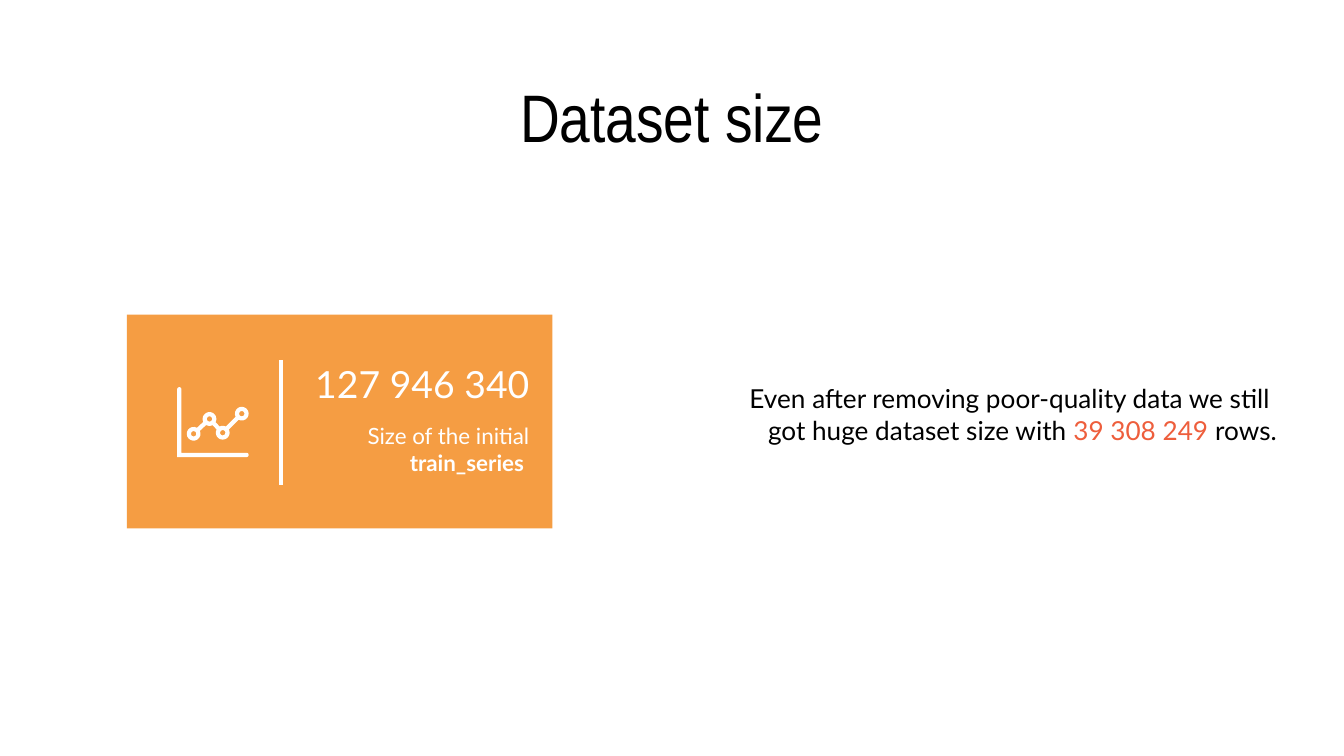
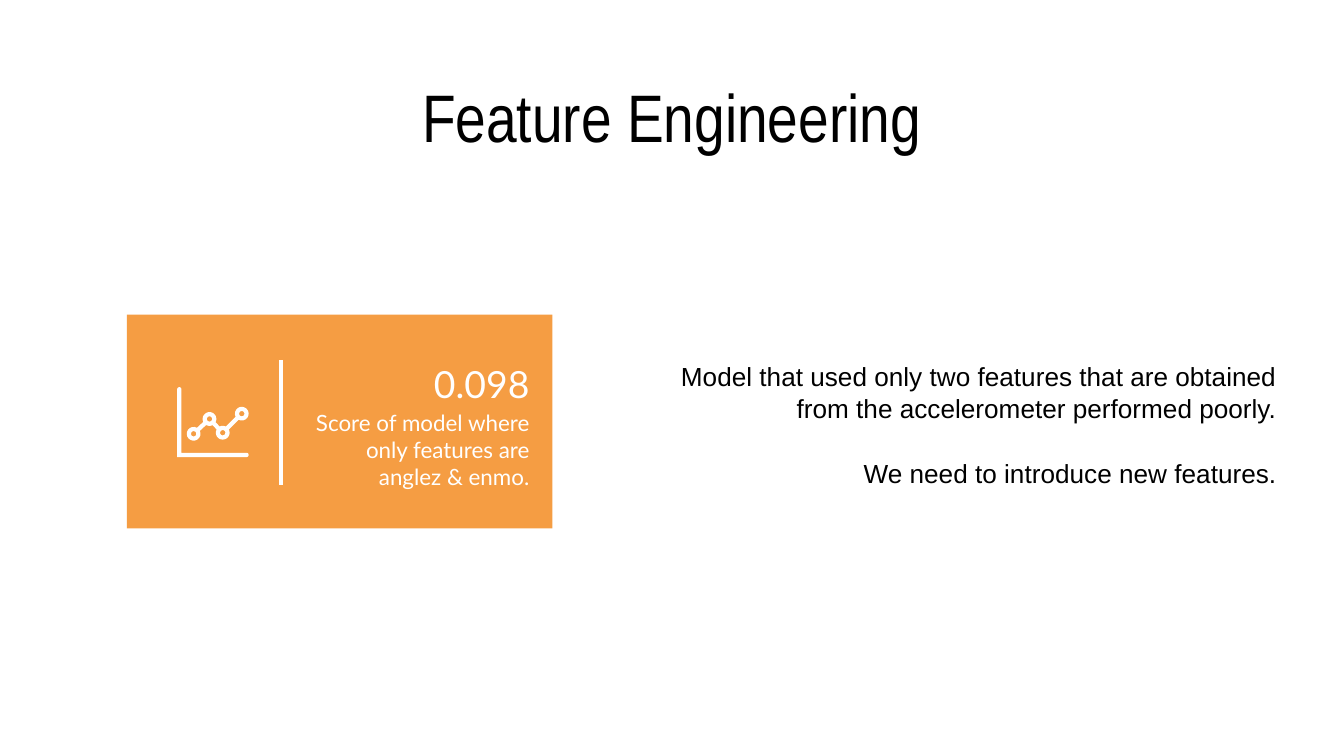
from dataclasses import dataclass
from math import asin, atan2, cos, pi, sin, tau

from lxml import etree
from pptx import Presentation
from pptx import util as u
from pptx.dml.color import RGBColor
from pptx.enum import shapes, text
from pptx.oxml import ns


@dataclass(frozen=True)
class Theme:
    ink: str = "000000"
    white: str = "FFFFFF"
    card: str = "F59D43"
    highlight: str = "EE5E3C"
    title_font: str = "Arial Narrow"
    card_font: str = "Lato"
    plain_font: str = "Arial"
    title_size: int = 36
    figure_size: int = 20
    body_size: int = 14
    caption_size: int = 12
    divider_width: float = 2.25


TITLE_AREA = (0.86, 1.02, 23.67, 2.34)
CARD_AREA = (2.4, 5.95, 8.04, 4.04)
CAPTION_AREA = (5.54, 7.67, 4.72, 1.65)
FIGURE_AREA = (5.54, 6.78, 4.72, 0.94)
DIVIDER = (5.31, 6.81, 5.31, 9.17)
WIDE_INSET = 0.25

# Chart icon, in centimetres
AXIS_CORNER = (3.39, 8.6)
AXIS_TOP, AXIS_RIGHT, AXIS_HALF_WIDTH = 7.36, 4.66, 0.04
TREND_POINTS = [(3.66, 8.2), (3.96, 7.92), (4.21, 8.18), (4.57, 7.82)]
RING_RADIUS, HOLE_RADIUS, LINK_HALF_WIDTH = 0.13, 0.05, 0.04


def set_format(target, values):
    for name, value in values.items():
        setattr(target, name, value)


def cm(values):
    return [u.Cm(value) for value in values]


def arc(center, radius, start, end, steps=16):
    angles = [start + (end - start) * step / steps for step in range(steps + 1)]
    return [(center[0] + radius * cos(a), center[1] + radius * sin(a)) for a in angles]


def axes_outline():
    x, y = AXIS_CORNER
    half = AXIS_HALF_WIDTH
    return (arc((x, AXIS_TOP), half, pi, tau) + [(x + half, y - half)]
            + arc((AXIS_RIGHT, y), half, -pi / 2, pi / 2) + [(x - half, y + half)])


def trend_outline():
    """Walk along the upper side of the linked rings and back along the lower."""
    walk = TREND_POINTS + TREND_POINTS[-2:0:-1]
    gap = asin(LINK_HALF_WIDTH / RING_RADIUS)
    outline = []
    for i, (x, y) in enumerate(walk):
        before, after = walk[i - 1], walk[(i + 1) % len(walk)]
        start = atan2(before[1] - y, before[0] - x) + gap
        end = atan2(after[1] - y, after[0] - x) - gap
        outline += arc((x, y), RING_RADIUS, start, start + (end - start) % tau)
    return outline


class Deck:
    def __init__(self, theme):
        self.theme = theme
        self.prs = Presentation()
        set_format(self.prs, {"slide_width": u.Cm(25.4), "slide_height": u.Cm(14.29)})
        self.slide = None

    def add_slide(self, title):
        self.slide = self.prs.slides.add_slide(self.prs.slide_layouts[5])
        heading = self.slide.shapes.title
        left, top, width, height = cm(TITLE_AREA)
        set_format(heading, {"left": left, "top": top, "width": width, "height": height})
        t = self.theme
        self.fill_text(heading, [[(title, {})]], t.title_font, t.title_size, t.ink,
                       align=text.PP_ALIGN.CENTER, anchor=text.MSO_ANCHOR.MIDDLE,
                       inset=WIDE_INSET)

    def fill_text(self, shape, paragraphs, font, size, color, align=text.PP_ALIGN.RIGHT,
                  anchor=text.MSO_ANCHOR.TOP, inset=None, spacing=1.0, gap=0,
                  auto_size=text.MSO_AUTO_SIZE.NONE):
        """Fill a shape with paragraphs, each a list of (wording, run overrides)."""
        frame = shape.text_frame
        set_format(frame, {"word_wrap": True, "auto_size": auto_size,
                           "vertical_anchor": anchor})
        if inset is not None:
            sides = ("left", "top", "right", "bottom")
            set_format(frame, {f"margin_{side}": u.Cm(inset) for side in sides})
        for i, runs in enumerate(paragraphs):
            paragraph = frame.add_paragraph() if i else frame.paragraphs[0]
            set_format(paragraph, {"alignment": align, "line_spacing": spacing,
                                   "space_before": u.Pt(gap if i else 0)})
            for wording, changes in runs:
                run = paragraph.add_run()
                run.text = wording
                set_format(run.font, {"name": font, "size": u.Pt(size),
                                      "bold": changes.get("bold", False)})
                run.font.color.rgb = RGBColor.from_string(changes.get("color", color))

    def paint(self, shape, color):
        shape.shadow.inherit = False
        shape.fill.solid()
        shape.fill.fore_color.rgb = RGBColor.from_string(color)
        shape.line.fill.background()

    def outline(self, group, contours):
        start, *rest = [tuple(cm(point)) for point in contours[0]]
        builder = group.shapes.build_freeform(*start)
        builder.add_line_segments(rest, close=True)
        for contour in contours[1:]:
            start, *rest = [tuple(cm(point)) for point in contour]
            builder.move_to(*start)
            builder.add_line_segments(rest, close=True)
        self.paint(builder.convert_to_shape(), self.theme.white)

    def divider(self, group):
        line = group.shapes.add_connector(shapes.MSO_CONNECTOR.STRAIGHT, *cm(DIVIDER))
        line.line.width = u.Pt(self.theme.divider_width)
        line.line.color.rgb = RGBColor.from_string(self.theme.white)
        etree.SubElement(line._element.spPr, ns.qn("a:effectLst"))

    def card(self, figure, caption):
        t = self.theme
        group = self.slide.shapes.add_group_shape()
        panel = group.shapes.add_shape(shapes.MSO_SHAPE.RECTANGLE, *cm(CARD_AREA))
        self.paint(panel, t.card)
        for area, runs, size in ((CAPTION_AREA, caption, t.caption_size),
                                 (FIGURE_AREA, [(figure, {})], t.figure_size)):
            self.fill_text(group.shapes.add_textbox(*cm(area)), [runs], t.card_font,
                           size, t.white, anchor=text.MSO_ANCHOR.MIDDLE,
                           inset=WIDE_INSET)
        self.divider(group)
        self.outline(group, [axes_outline()])
        holes = [arc(point, HOLE_RADIUS, tau, 0) for point in TREND_POINTS]
        self.outline(group, [trend_outline()] + holes)

    def remark(self, area, paragraphs, font, **layout):
        box = self.slide.shapes.add_textbox(*cm(area))
        self.fill_text(box, paragraphs, font, self.theme.body_size, self.theme.ink,
                       auto_size=text.MSO_AUTO_SIZE.SHAPE_TO_FIT_TEXT, **layout)


def main():
    theme = Theme()
    deck = Deck(theme)

    deck.add_slide("Dataset size")
    deck.card("127 946 340", [("Size of the initial ", {}),
                              ("train_series ", {"bold": True})])
    deck.remark((10.36, 7.11, 14.02, 1.45),
                [[("Even after removing poor-quality data we still ", {})],
                 [("got huge dataset size with", {}),
                  (" 39 308 249 ", {"color": theme.highlight}),
                  ("rows.", {})]],
                theme.card_font)

    deck.add_slide("Feature Engineering")
    deck.card("0.098", [("Score of model where only features are anglez & enmo.", {})])
    deck.remark((12.52, 6.65, 11.86, 2.64),
                [[("Model that used only two features that are obtained from the "
                   "accelerometer performed poorly.", {})],
                 [("We need to introduce new features.", {})]],
                theme.plain_font, spacing=1.05, gap=17)

    deck.prs.save("out.pptx")


if __name__ == "__main__":
    main()
